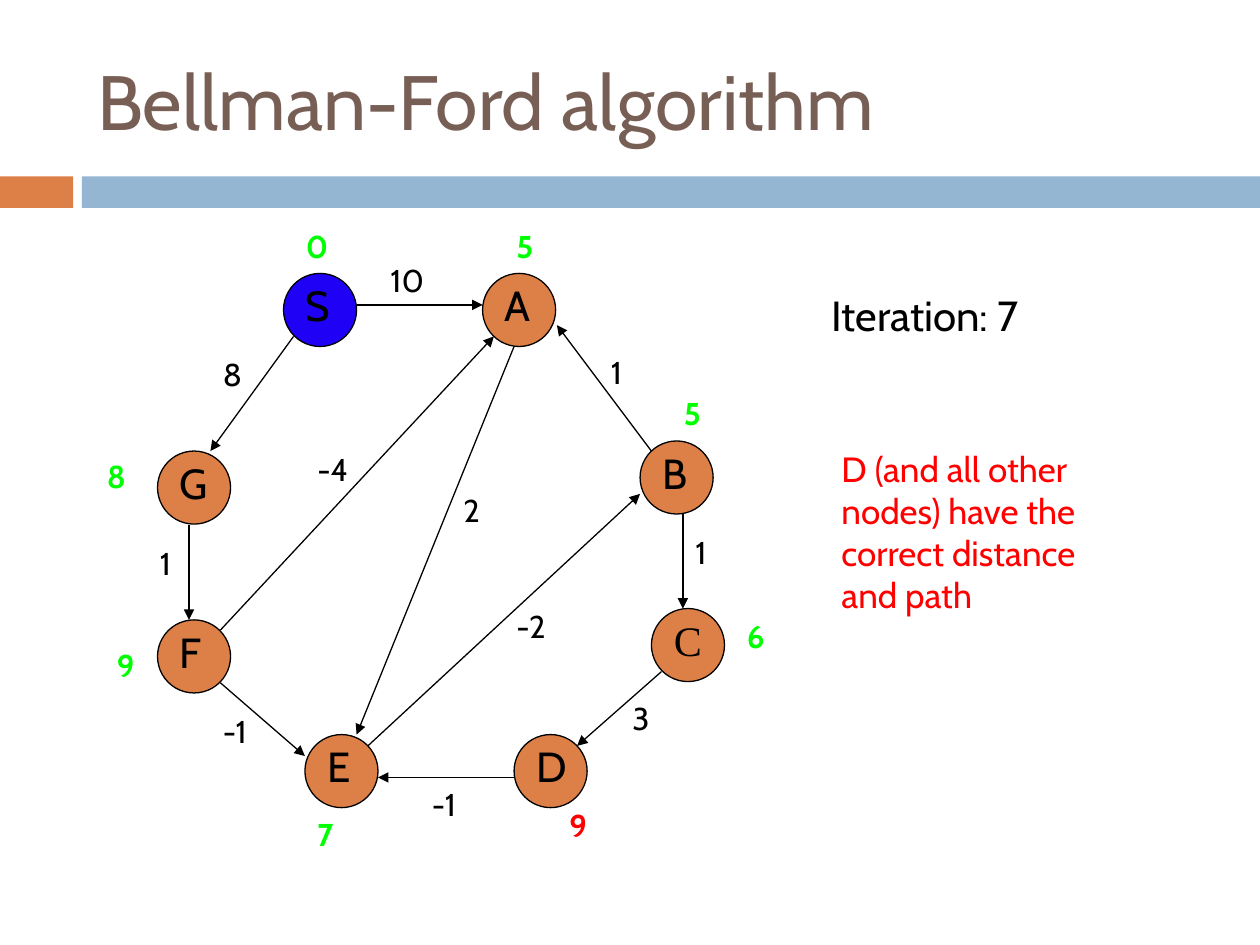
from pptx import Presentation
from pptx.dml.color import RGBColor
from pptx.enum.shapes import MSO_CONNECTOR, MSO_SHAPE
from pptx.enum.text import MSO_ANCHOR, PP_ALIGN
from pptx.oxml.ns import qn
from pptx.util import Inches, Pt
from lxml import etree

BLACK, GREEN, RED = "000000", "00FF00", "FF0000"
ORANGE, BLUE, NAVY, BROWN = "DD8047", "94B6D2", "1F02F6", "775F55"


def rgb(color):
    return RGBColor.from_string(color)


def add_text(text, x, y, w, h, size, color=BLACK, bold=False, font="Cabin"):
    tf = s.shapes.add_textbox(Inches(x), Inches(y), Inches(w), Inches(h)).text_frame
    tf.word_wrap = True
    p = tf.paragraphs[0]
    p.text = text
    p.font.name, p.font.size, p.font.bold = font, Pt(size), bold
    p.font.color.rgb = rgb(color)


prs = Presentation()
prs.slide_width, prs.slide_height = Inches(10), Inches(7.5)
s = prs.slides.add_slide(prs.slide_layouts[5])

for x, w, color in [(0, 0.58, ORANGE), (0.65, 9.35, BLUE)]:
    sp = s.shapes.add_shape(MSO_SHAPE.RECTANGLE, Inches(x), Inches(1.4), Inches(w), Inches(0.25))
    sp.shadow.inherit = False
    sp.fill.solid()
    sp.fill.fore_color.rgb = rgb(color)
    sp.line.fill.background()

title = s.shapes.title
title.left, title.top, title.width, title.height = Inches(0.67), Inches(0.25), Inches(8.92), Inches(1.08)
title.text_frame.vertical_anchor = MSO_ANCHOR.MIDDLE
p = title.text_frame.paragraphs[0]
p.text = "Bellman-Ford algorithm"
p.alignment = PP_ALIGN.LEFT
p.font.name, p.font.size = "Cabin", Pt(44)
p.font.color.rgb = rgb(BROWN)

nodes = [
    ("G", 1.25, 3.58), ("S", 2.25, 2.17), ("F", 1.25, 4.92), ("E", 2.42, 5.83),
    ("A", 3.83, 2.17), ("D", 4.08, 5.83), ("B", 5.08, 3.5), ("C", 5.17, 4.83),
]
for name, x, y in nodes:
    sp = s.shapes.add_shape(MSO_SHAPE.OVAL, Inches(x), Inches(y), Inches(0.58), Inches(0.58))
    sp.shadow.inherit = False
    sp.fill.solid()
    sp.fill.fore_color.rgb = rgb(NAVY if name == "S" else ORANGE)
    sp.line.color.rgb = rgb(BLACK)
    sp.line.width = Pt(0.75)
    add_text(name, x + 0.08, y, 0.5, 0.5, 24, font="Times New Roman" if name == "C" else "Cabin")

edges = [
    (2.83, 2.42, 3.83, 2.42, "10", 3, 2.02),
    (5.17, 3.58, 4.42, 2.58, "1", 4.75, 2.75),
    (5.42, 4.08, 5.42, 4.83, "1", 5.42, 4.18),
    (5.25, 5.33, 4.58, 5.92, "3", 4.92, 5.5),
    (4.08, 6.17, 3, 6.17, "-1", 3.33, 6.18),
    (1.75, 5.42, 2.42, 6, "-1", 1.67, 5.6),
    (1.5, 4.17, 1.5, 4.92, "1", 1.17, 4.27),
    (2.33, 2.67, 1.67, 3.58, "8", 1.67, 2.77),
    (1.75, 5, 3.92, 2.67, "-4", 2.42, 3.52),
    (4.08, 2.75, 2.83, 5.83, "2", 3.58, 3.85),
    (2.92, 5.92, 5.08, 3.92, "-2", 4, 4.77),
]
for x1, y1, x2, y2, weight, x, y in edges:
    c = s.shapes.add_connector(MSO_CONNECTOR.STRAIGHT, Inches(x1), Inches(y1), Inches(x2), Inches(y2))
    c.line.color.rgb = rgb(BLACK)
    c.line.width = Pt(0.75)
    etree.SubElement(c.line._get_or_add_ln(), qn("a:tailEnd"), type="triangle")
    etree.SubElement(c._element.spPr, qn("a:effectLst"))
    add_text(weight, x, y, 0.5, 0.4, 18)

distances = [
    ("0", 2.33, 1.75, GREEN), ("5", 4, 1.75, GREEN), ("5", 5.33, 3.08, GREEN), ("6", 5.83, 4.85, GREEN),
    ("9", 4.42, 6.35, RED), ("7", 2.42, 6.42, GREEN), ("9", 0.83, 5.08, GREEN), ("8", 0.75, 3.58, GREEN),
]
for distance, x, y, color in distances:
    add_text(distance, x, y, 0.5, 0.4, 18, color, bold=True)

add_text("Iteration: 7", 6.5, 2.25, 2.33, 0.5, 24)
add_text("D (and all other nodes) have the correct distance and path", 6.58, 3.5, 2.42, 1.43, 20, RED)

prs.save("out.pptx")
